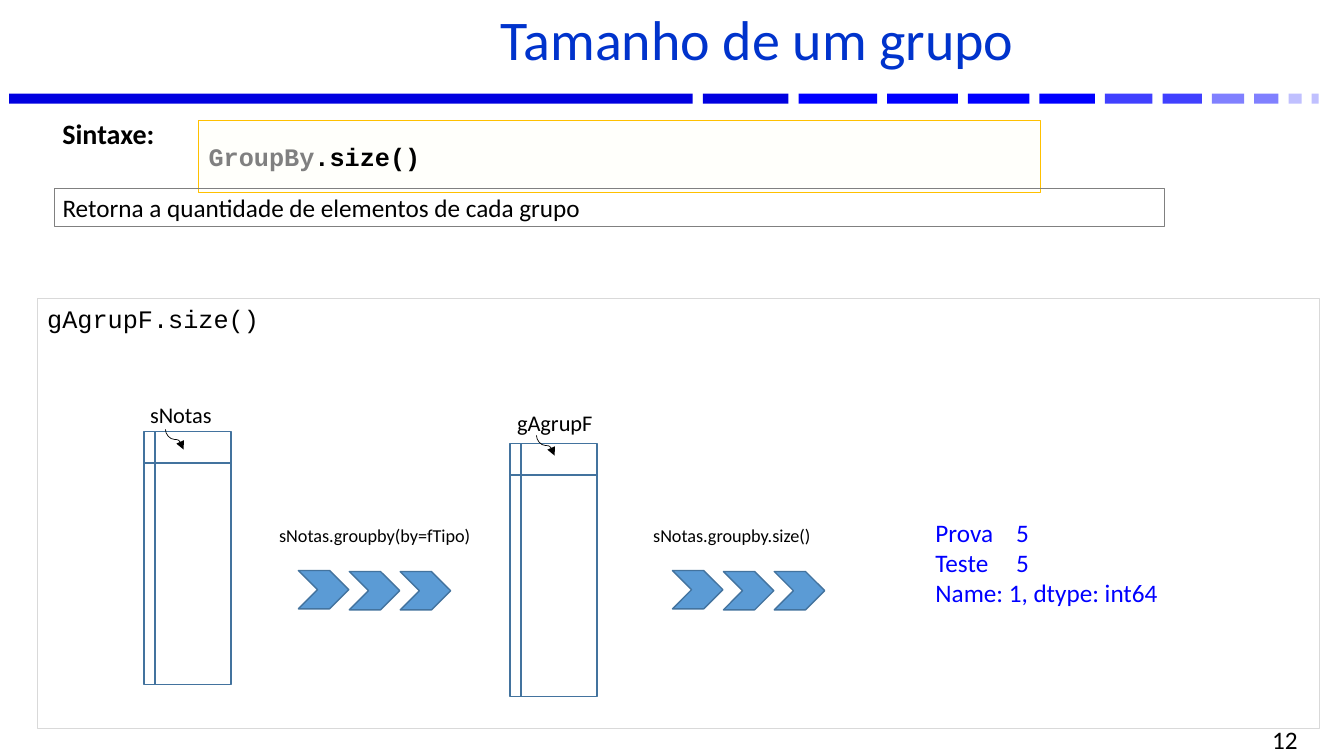
from dataclasses import dataclass
from typing import Optional

from lxml.etree import SubElement
from pptx import Presentation
from pptx.dml.color import RGBColor
from pptx.enum.shapes import MSO_CONNECTOR, MSO_SHAPE
from pptx.enum.text import MSO_ANCHOR, PP_ALIGN
from pptx.oxml.ns import qn
from pptx.util import Inches, Pt

BLACK = "000000"
BLUE = "0000FF"
STEEL = "43739E"
SANS = "Calibri"
MONO = "Courier New"
BAR_GAP = 0.1
CHEVRON_STEP = 0.505


@dataclass
class Box:
    left: float
    top: float
    width: float
    height: float

    def lengths(self) -> tuple:
        return tuple(Inches(v) for v in (self.left, self.top, self.width, self.height))


@dataclass
class Bar:
    width: float
    color: str


@dataclass
class Label:
    box: Box
    lines: list[str]
    size: float
    color: str = BLACK
    font: str = SANS
    bold: bool = False
    outline: Optional[str] = None
    align: PP_ALIGN = PP_ALIGN.LEFT
    anchor: MSO_ANCHOR = MSO_ANCHOR.TOP
    tab_stop: Optional[float] = None


@dataclass
class Step:
    call: str
    left: float


@dataclass
class Store:
    name: str
    box: Box
    name_box: Box
    pointer: Box


BARS = [
    Bar(6.78, "0000E0"), Bar(0.85, "0000E0"), Bar(0.78, BLUE), Bar(0.7, BLUE),
    Bar(0.61, BLUE), Bar(0.55, BLUE), Bar(0.47, "4040FF"), Bar(0.39, "4040FF"),
    Bar(0.32, "8080FF"), Bar(0.24, "8080FF"), Bar(0.13, "C0C0FF"), Bar(0.07, "C0C0FF"),
]
LABELS = [
    Label(Box(0.37, 2.96, 12.72, 4.27), ["gAgrupF.size()"], 18, font=MONO, outline="D9D9D9"),
    Label(Box(9.86, 7.23, 3.11, 0.22), ["12"], 18, align=PP_ALIGN.RIGHT, anchor=MSO_ANCHOR.MIDDLE),
    Label(Box(0.52, 1.11, 1.42, 0.44), ["Sintaxe:"], 20, bold=True),
    Label(Box(9.18, 5.08, 2.96, 1.01), ["Prova\t5", "Teste\t5", "Name: 1, dtype: int64"], 18,
          color=BLUE, tab_stop=0.8),
]
DESCRIPTION = Label(Box(0.54, 1.87, 11.01, 0.38),
                    ["Retorna a quantidade de elementos de cada grupo"], 18, outline="808080")
STEPS = [Step("sNotas.groupby(by=fTipo)", 2.96), Step("sNotas.groupby.size()", 6.67)]
STORES = [
    Store("sNotas", Box(1.43, 4.28, 0.86, 2.51), Box(1.39, 3.93, 0.87, 0.37),
          Box(1.63, 4.27, 0.2, 0.18)),
    Store("gAgrupF", Box(5.06, 4.4, 0.86, 2.51), Box(5.03, 4.01, 1.19, 0.37),
          Box(5.31, 4.33, 0.2, 0.18)),
]


def rgb(value: str) -> RGBColor:
    return RGBColor.from_string(value)


def add_figure(shapes, kind: MSO_SHAPE, box: Box, fill: Optional[str] = None,
               outline: Optional[str] = None, weight: float = 1):
    figure = shapes.add_shape(kind, *box.lengths())
    figure.shadow.inherit = False
    if fill:
        figure.fill.solid()
        figure.fill.fore_color.rgb = rgb(fill)
    else:
        figure.fill.background()
    if outline:
        figure.line.color.rgb = rgb(outline)
        figure.line.width = Pt(weight)
    else:
        figure.line.fill.background()
    return figure


def style_font(font, name: str, size: float, color: str, bold: bool = False) -> None:
    font.name = name
    font.size = Pt(size)
    font.bold = bold
    font.color.rgb = rgb(color)


def add_label(shapes, label: Label):
    if label.outline:
        holder = add_figure(shapes, MSO_SHAPE.RECTANGLE, label.box,
                            outline=label.outline, weight=0.75)
    else:
        holder = shapes.add_textbox(*label.box.lengths())
    frame = holder.text_frame
    frame.word_wrap = True
    frame.vertical_anchor = label.anchor
    for index, line in enumerate(label.lines):
        paragraph = frame.paragraphs[0] if index == 0 else frame.add_paragraph()
        paragraph.text = line
        paragraph.alignment = label.align
        if label.tab_stop:
            tabs = SubElement(paragraph._p.get_or_add_pPr(), qn("a:tabLst"))
            SubElement(tabs, qn("a:tab"), pos=str(Inches(label.tab_stop)), algn="l")
        style_font(paragraph.font, label.font, label.size, label.color, label.bold)
    return holder


def add_title(slide) -> None:
    title = slide.shapes.title
    title.left, title.top, title.width, title.height = Box(1.94, 0.06, 11.14, 0.77).lengths()
    title.text_frame.text = "Tamanho de um grupo"
    title.text_frame.vertical_anchor = MSO_ANCHOR.MIDDLE
    paragraph = title.text_frame.paragraphs[0]
    paragraph.alignment = PP_ALIGN.CENTER
    paragraph.line_spacing = 0.8
    style_font(paragraph.font, SANS, 40, "0033CC")


def add_bars(shapes) -> None:
    group = shapes.add_group_shape()
    left = 0.09
    for bar in BARS:
        add_figure(group.shapes, MSO_SHAPE.RECTANGLE, Box(left, 0.93, bar.width, 0.1), bar.color)
        left += bar.width + BAR_GAP


def add_syntax(shapes) -> None:
    syntax = add_figure(shapes, MSO_SHAPE.RECTANGLE, Box(1.97, 1.2, 8.35, 0.71),
                        "FFFFFB", "FFC000", 0.75)
    frame = syntax.text_frame
    frame.word_wrap = True
    frame.margin_top = frame.margin_bottom = 0
    frame.vertical_anchor = MSO_ANCHOR.MIDDLE
    paragraph = frame.paragraphs[0]
    paragraph.alignment = PP_ALIGN.LEFT
    for part, color in (("GroupBy", "808080"), (".size()", BLACK)):
        run = paragraph.add_run()
        run.text = part
        style_font(run.font, MONO, 18, color, True)


def add_step(shapes, step: Step) -> None:
    group = shapes.add_group_shape()
    for index in range(3):
        top = 5.66 if index == 0 else 5.67
        add_figure(group.shapes, MSO_SHAPE.CHEVRON,
                   Box(step.left + index * CHEVRON_STEP, top, 0.5, 0.38), "5B9BD5", STEEL)
    add_label(shapes, Label(Box(step.left - 0.29, 5.15, 2.35, 0.32), [step.call], 13))


def add_pointer(shapes, box: Box) -> None:
    """Curved arrow that leaves downwards, so its frame is turned and mirrored."""
    left, top, width, height = box.lengths()
    pointer = shapes.add_connector(MSO_CONNECTOR.CURVE, left, top, left + width, top + height)
    pointer.line.color.rgb = rgb(BLACK)
    pointer.line.width = Pt(0.5)
    SubElement(pointer.line._get_or_add_ln(), qn("a:tailEnd"), type="triangle")
    properties = pointer._element.spPr
    SubElement(properties, qn("a:effectLst"))
    frame = properties.find(qn("a:xfrm"))
    frame.set("rot", str(270 * 60000))
    frame.set("flipH", "1")


def add_store(shapes, store: Store) -> None:
    group = shapes.add_group_shape()
    add_figure(group.shapes, MSO_SHAPE.FLOWCHART_INTERNAL_STORAGE, store.box, outline=STEEL)
    add_label(group.shapes, Label(store.name_box, [store.name], 16))
    add_pointer(group.shapes, store.pointer)


def main() -> None:
    deck = Presentation()
    deck.slide_width, deck.slide_height = Inches(13.33), Inches(7.5)
    slide = deck.slides.add_slide(deck.slide_layouts[5])
    shapes = slide.shapes
    add_title(slide)
    add_bars(shapes)
    for label in LABELS:
        add_label(shapes, label)
    add_syntax(shapes)
    description = add_label(shapes, DESCRIPTION).text_frame
    description.margin_left = description.margin_right = Inches(0.08)
    description.margin_top = description.margin_bottom = Inches(0.04)
    for step in STEPS:
        add_step(shapes, step)
    for store in STORES:
        add_store(shapes, store)
    deck.save("out.pptx")


if __name__ == "__main__":
    main()
